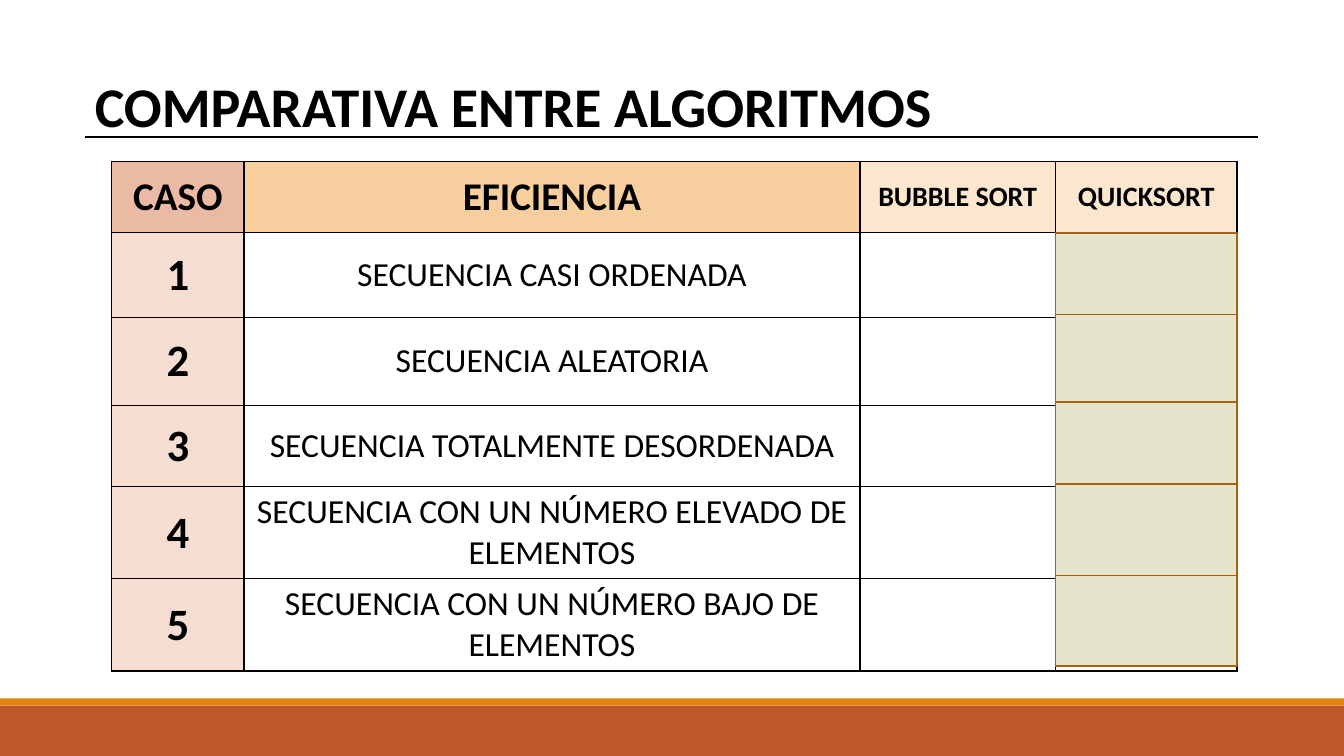
import pptx
import pptx.util
import pptx.dml.color
import pptx.enum.shapes
import pptx.enum.text
import pptx.oxml
import pptx.oxml.ns
import pptx.presentation
import pptx.slide
import pptx.table
import pptx.text.text
from dataclasses import dataclass
from itertools import accumulate
from typing import Optional


@dataclass(frozen=True)
class Theme:
    font: str = "Calibri"
    ink: str = "000000"
    brick: str = "BD582C"
    amber: str = "E48312"
    rose: str = "EABAA5"
    blush: str = "F5DDD2"
    peach: str = "F7CE9D"
    cream: str = "FBE6CE"
    sage: str = "E7E4CC"
    brown: str = "A9610D"
    title: int = 40
    head: int = 28
    label: int = 20
    digit: int = 32
    body: int = 24
    rule: float = 1.25
    edge: int = 1


THEME = Theme()


@dataclass(frozen=True)
class Box:
    left: float
    top: float
    width: float
    height: float
    fill: str
    line: Optional[str] = None


@dataclass(frozen=True)
class Entry:
    text: str
    size: int = THEME.body
    bold: bool = True
    fill: Optional[str] = None


# The slide is a grid of 133.3 columns by 75 rows
WIDE, HIGH = 133.3, 75
UNIT = pptx.util.Inches(0.1)

COLS = [13.1, 61.1, 19.4, 18]
ROWS = [7.1, 8.4, 8.7, 8.1, 9, 9]
LEFT, TOP = 11.1, 16
COVERS = [8.1, 8.7, 8.1, 9.1, 9]

BARS = [
    Box(0, 70, WIDE, 5, THEME.brick),
    Box(0, 69.3, WIDE, 0.7, THEME.amber),
]
HEADS = [
    Entry("CASO", THEME.head, fill=THEME.rose),
    Entry("EFICIENCIA", THEME.head, fill=THEME.peach),
    Entry("BUBBLE SORT", THEME.label, fill=THEME.cream),
    Entry("QUICKSORT", THEME.label, fill=THEME.cream),
]
CASES = [
    "SECUENCIA CASI ORDENADA",
    "SECUENCIA ALEATORIA",
    "SECUENCIA TOTALMENTE DESORDENADA",
    "SECUENCIA CON UN NÚMERO ELEVADO DE ELEMENTOS",
    "SECUENCIA CON UN NÚMERO BAJO DE ELEMENTOS",
]


def span(count: float) -> int:
    return round(count * UNIT)


def tint(code: str) -> pptx.dml.color.RGBColor:
    return pptx.dml.color.RGBColor.from_string(code)


def style(para: pptx.text.text._Paragraph, size: int, bold: bool) -> None:
    para.font.name = THEME.font
    para.font.size = pptx.util.Pt(size)
    para.font.bold = bold
    para.font.color.rgb = tint(THEME.ink)


def draw_box(slide: pptx.slide.Slide, box: Box) -> None:
    shape = slide.shapes.add_shape(
        pptx.enum.shapes.MSO_SHAPE.RECTANGLE,
        span(box.left), span(box.top), span(box.width), span(box.height))
    shape.shadow.inherit = False
    shape.fill.solid()
    shape.fill.fore_color.rgb = tint(box.fill)
    if box.line:
        shape.line.color.rgb = tint(box.line)
        shape.line.width = pptx.util.Pt(THEME.rule)
    else:
        shape.line.fill.background()


def draw_title(slide: pptx.slide.Slide, text: str) -> None:
    title = slide.shapes.title
    title.left, title.top = span(8.4), span(6.6)
    title.width, title.height = span(116.4), span(7.7)
    frame = title.text_frame
    frame.text = text
    frame.word_wrap = True
    frame.auto_size = pptx.enum.text.MSO_AUTO_SIZE.NONE
    frame.vertical_anchor = pptx.enum.text.MSO_ANCHOR.MIDDLE
    para = frame.paragraphs[0]
    para.alignment = pptx.enum.text.PP_ALIGN.LEFT
    style(para, THEME.title, True)


def draw_rule(slide: pptx.slide.Slide) -> None:
    rule = slide.shapes.add_connector(
        pptx.enum.shapes.MSO_CONNECTOR.STRAIGHT,
        span(8.4), span(13.6), span(124.8), span(13.6))
    rule.line.color.rgb = tint(THEME.ink)
    rule.line.width = pptx.util.Pt(THEME.rule)
    rule._element.spPr.append(pptx.oxml.parse_xml(
        f'<a:effectLst {pptx.oxml.ns.nsdecls("a")}/>'))


def draw_cell(cell: pptx.table._Cell, entry: Entry) -> None:
    props = cell._tc.get_or_add_tcPr()
    for side in "LRTB":
        props.append(pptx.oxml.parse_xml(
            f'<a:ln{side} {pptx.oxml.ns.nsdecls("a")} '
            f'w="{pptx.util.Pt(THEME.edge)}"><a:solidFill>'
            f'<a:srgbClr val="{THEME.ink}"/></a:solidFill></a:ln{side}>'))
    if entry.fill:
        cell.fill.solid()
        cell.fill.fore_color.rgb = tint(entry.fill)
    else:
        cell.fill.background()
    cell.vertical_anchor = pptx.enum.text.MSO_ANCHOR.MIDDLE
    cell.text = entry.text
    para = cell.text_frame.paragraphs[0]
    para.alignment = pptx.enum.text.PP_ALIGN.CENTER
    style(para, entry.size, entry.bold)


def draw_table(slide: pptx.slide.Slide) -> None:
    blank = Entry("")
    grid = [HEADS] + [
        [Entry(str(num), THEME.digit, fill=THEME.blush),
         Entry(case, bold=False), blank, blank]
        for num, case in enumerate(CASES, 1)]
    table = slide.shapes.add_table(
        len(ROWS), len(COLS), span(LEFT), span(TOP),
        span(sum(COLS)), span(sum(ROWS))).table
    table.first_row = table.horz_banding = False
    for col, width in zip(table.columns, COLS):
        col.width = span(width)
    for row, height, line in zip(table.rows, ROWS, grid):
        row.height = span(height)
        for cell, entry in zip(row.cells, line):
            draw_cell(cell, entry)


def draw_covers(slide: pptx.slide.Slide) -> None:
    left = LEFT + sum(COLS[:-1])
    tops = accumulate(COVERS, initial=TOP + ROWS[0])
    for top, height in zip(tops, COVERS):
        draw_box(slide, Box(left, top, COLS[-1], height,
                            THEME.sage, THEME.brown))


def main() -> None:
    deck = pptx.Presentation()
    deck.slide_width, deck.slide_height = span(WIDE), span(HIGH)
    slide = deck.slides.add_slide(deck.slide_layouts[5])
    # Footer bars
    for bar in BARS:
        draw_box(slide, bar)
    # Heading
    draw_title(slide, "COMPARATIVA ENTRE ALGORITMOS")
    draw_rule(slide)
    # Comparison, with the last column covered
    draw_table(slide)
    draw_covers(slide)
    deck.save("out.pptx")


if __name__ == "__main__":
    main()
